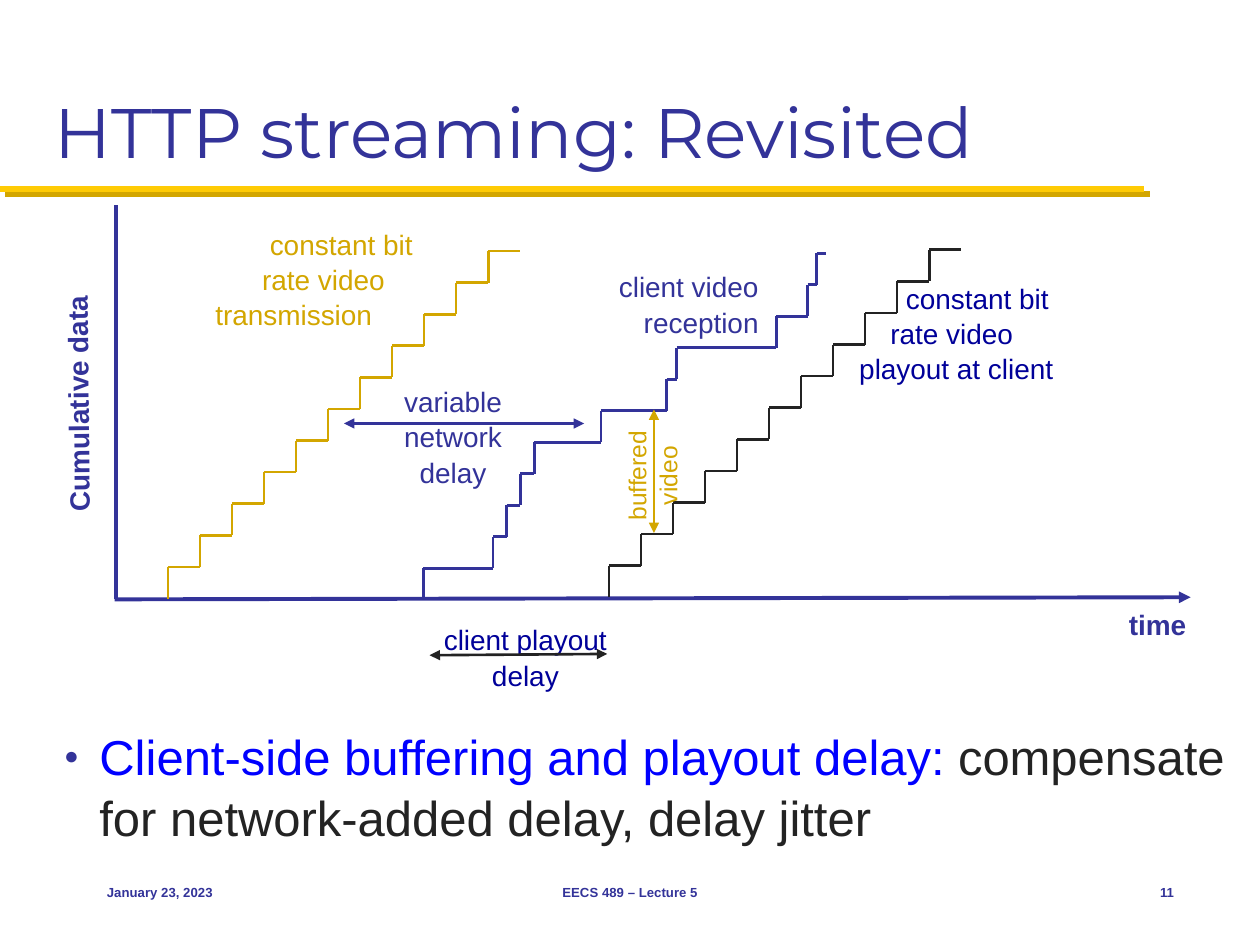
from itertools import pairwise

from lxml import etree
from pptx import Presentation
from pptx.dml.color import RGBColor
from pptx.enum.shapes import MSO_CONNECTOR as CONN
from pptx.enum.text import MSO_ANCHOR as ANCHOR, PP_ALIGN as ALIGN
from pptx.oxml.ns import qn
from pptx.util import Pt

NAVY, GOLD, YELLOW = "333399", "D3A600", "FFCB05"
INK, DEEP_BLUE, BLUE = "232323", "000099", "0000FF"


def rgb(color):
    return RGBColor.from_string(color)


def add_line(s, x1, y1, x2, y2, color, width=1.5, heads=(), shadow=None):
    """heads holds the XML tags of the ends with an arrow: headEnd, tailEnd."""
    line = s.shapes.add_connector(CONN.STRAIGHT, Pt(x1), Pt(y1), Pt(x2), Pt(y2))
    line.line.color.rgb = rgb(color)
    line.line.width = Pt(width)
    ln = line.line._get_or_add_ln()
    for end in heads:
        etree.SubElement(ln, qn(f"a:{end}"), type="triangle")
    effects = etree.SubElement(ln.getparent(), qn("a:effectLst"))
    if shadow:
        drop = etree.SubElement(effects, qn("a:outerShdw"), dist=str(Pt(4.2)),
                                dir="2700000", algn="ctr", rotWithShape="0")
        etree.SubElement(drop, qn("a:srgbClr"), val=shadow)
    return line


def add_double_arrow(s, x1, y1, x2, y2, color):
    add_line(s, x1, y1, x2, y2, color, heads=("headEnd", "tailEnd"))


def add_stairs(s, xs, bottom, rise, color):
    """A rise at each x, followed by a tread to the next x."""
    for i, (x, next_x) in enumerate(pairwise(xs)):
        y = bottom - i * rise
        add_line(s, x, y, x, y - rise, color)
        add_line(s, x, y - rise, next_x, y - rise, color)


def even_steps(start, step=18.3, count=11):
    return [start + i * step for i in range(count + 1)]


def add_text(s, box, lines, color, size=16, align=ALIGN.LEFT, bold=False, wrap=False,
             font="Arial", anchor=ANCHOR.TOP, rotation=0, indents=(), spacing=1.05):
    sp = s.shapes.add_textbox(*map(Pt, box))
    sp.rotation = rotation
    tf = sp.text_frame
    tf.text = "\n".join(lines)
    tf.word_wrap = wrap
    tf.vertical_anchor = anchor
    for p in tf.paragraphs:
        p.alignment = align
        p.line_spacing = spacing
        for r in p.runs:
            format_run(r, color, size, font, bold)
    for p, indent in zip(tf.paragraphs, indents):
        p._p.get_or_add_pPr().set("marL", str(Pt(indent)))
    return sp


def format_run(r, color, size, font="Arial", bold=False):
    r.font.name = font
    r.font.size = Pt(size)
    r.font.bold = bold
    r.font.color.rgb = rgb(color)


def add_bullet(s, box, term, explanation):
    sp = add_text(s, box, [term], BLUE, 28, wrap=True)
    p = sp.text_frame.paragraphs[0]
    r = p.add_run()
    r.text = explanation
    format_run(r, INK, 28)
    pPr = p._p.get_or_add_pPr()
    pPr.set("marL", str(Pt(20.2)))
    pPr.set("indent", str(Pt(-20.2)))
    bullet_color = etree.SubElement(pPr, qn("a:buClr"))
    etree.SubElement(bullet_color, qn("a:srgbClr"), val=NAVY)
    etree.SubElement(pPr, qn("a:buSzPct"), val="50000")
    etree.SubElement(pPr, qn("a:buFont"), typeface="Arial")
    etree.SubElement(pPr, qn("a:buChar"), char="●")


def add_axes(s):
    add_line(s, 66.2, 117.4, 66.2, 342, NAVY, 2.25)
    add_line(s, 680.4, 341.3, 65.5, 342.5, NAVY, 2.25, heads=("headEnd",))
    add_text(s, (-32.4, 208, 154, 28.8), ["Cumulative data"], NAVY, bold=True,
             wrap=True, rotation=269.4)
    add_text(s, (638, 342.7, 49, 28.8), ["time"], NAVY, bold=True)


def add_transmission(s):
    add_text(s, (116, 125.3, 134, 65.5),
             ["constant bit", "rate video", "transmission"], GOLD,
             indents=(31.1, 26.7, 0))
    add_stairs(s, even_steps(96), 342, 18.05, GOLD)


def add_reception(s):
    xs = [242, 281.8, 289.5, 297.4, 305.3, 343.4, 380.9, 386.6, 443.6, 461.5, 466.6, 472.3]
    add_stairs(s, xs, 342.7, 18, NAVY)
    add_text(s, (223.2, 215.3, 71.3, 65.5), ["variable", "network", "delay"], NAVY,
             align=ALIGN.CENTER)
    add_double_arrow(s, 196.6, 242, 333.8, 242, NAVY)
    add_text(s, (345.6, 149.8, 95, 46), ["client video", "reception"], NAVY,
             align=ALIGN.RIGHT)


def add_playout(s):
    add_stairs(s, even_steps(348), 341.3, 18.05, INK)
    add_text(s, (479.5, 156.2, 134, 65.5),
             ["constant bit", "rate video", "playout at client"], DEEP_BLUE,
             indents=(31.1, 22.2, 4.4))
    add_text(s, (234, 351.4, 132.5, 46), ["client playout", "delay"], DEEP_BLUE,
             align=ALIGN.CENTER, wrap=True)
    add_double_arrow(s, 245.5, 374.4, 347, 373.7, INK)


def add_buffer(s):
    add_double_arrow(s, 373.7, 304.6, 373.7, 234, GOLD)
    add_text(s, (338.4, 251.3, 66.2, 41), ["buffered", "video"], GOLD, 14,
             align=ALIGN.CENTER, rotation=270)


def add_footer(s):
    for left, width, text, align in (
            (54, 150, "January 23, 2023", ALIGN.LEFT),
            (246, 228, "EECS 489 – Lecture 5", ALIGN.CENTER),
            (630, 48, "11", ALIGN.RIGHT)):
        add_text(s, (left, 491.8, width, 36), [text], NAVY, 7.5, align=align,
                 bold=True, wrap=True, anchor=ANCHOR.MIDDLE, spacing=1)


def main():
    prs = Presentation()
    prs.slide_width, prs.slide_height = Pt(720), Pt(540)
    s = prs.slides.add_slide(prs.slide_layouts[6])
    add_line(s, 0, 108, 654, 108, YELLOW, 3.5, shadow=GOLD)
    add_axes(s)
    add_transmission(s)
    add_reception(s)
    add_playout(s)
    add_buffer(s)
    add_text(s, (24, 12, 672, 90), ["HTTP streaming: Revisited"], NAVY, 40,
             font="Montserrat", wrap=True, anchor=ANCHOR.BOTTOM, spacing=1)
    add_bullet(s, (29.5, 409.7, 690.5, 70), "Client-side buffering and playout delay: ",
               "compensate for network-added delay, delay jitter")
    add_footer(s)
    prs.save("out.pptx")


if __name__ == "__main__":
    main()
